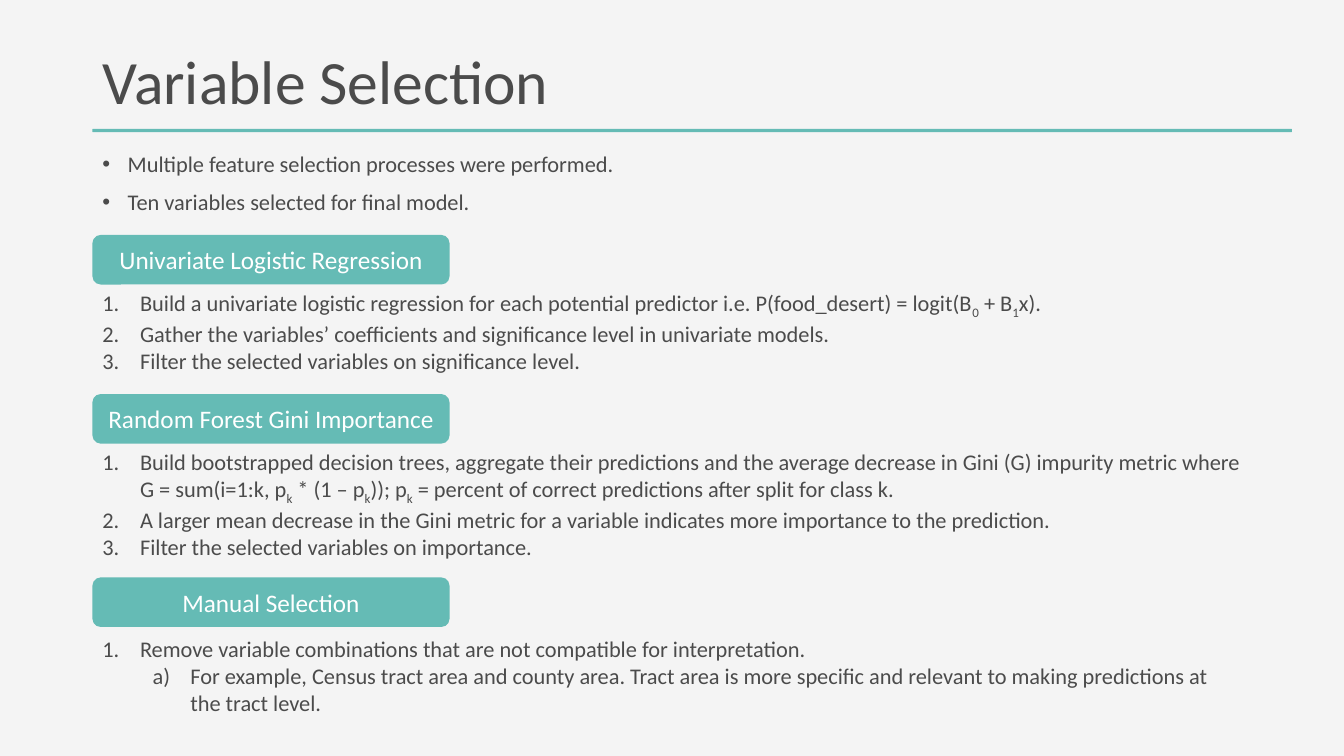
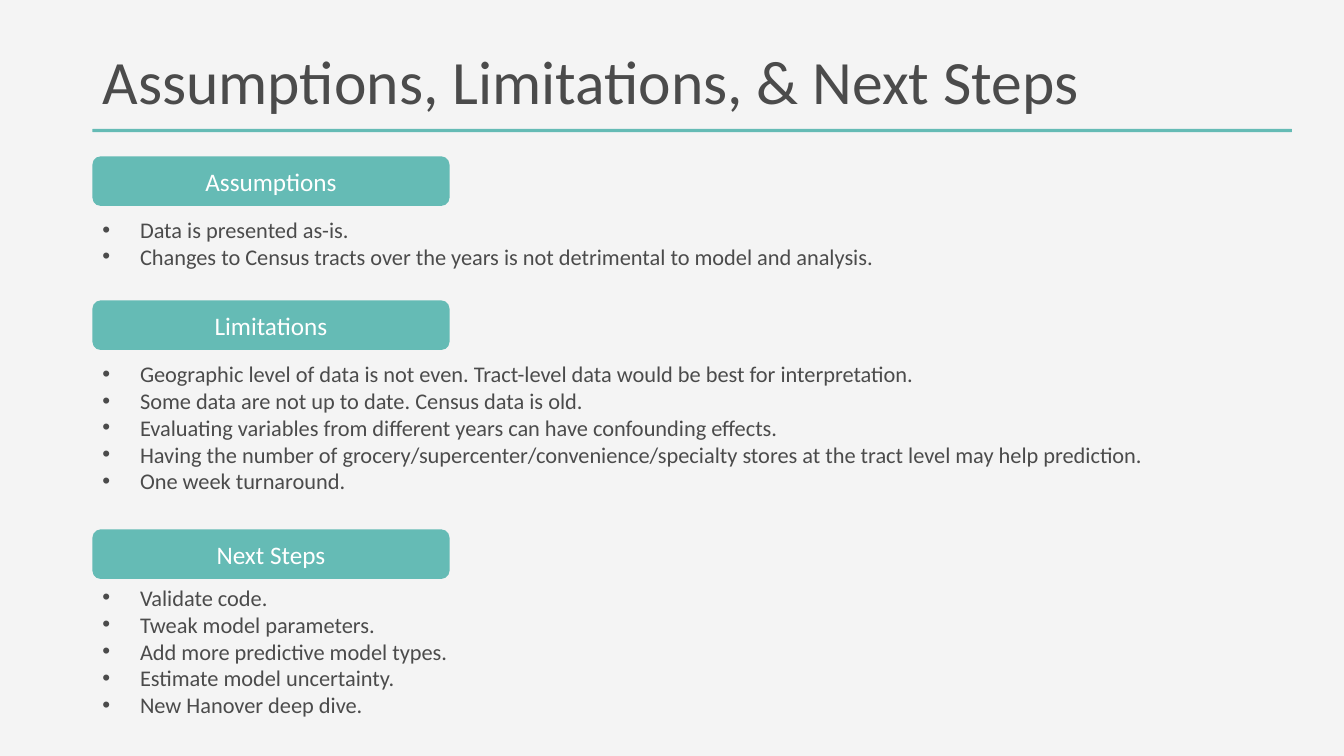
from dataclasses import dataclass

from lxml.etree import SubElement
from pptx import Presentation
from pptx.dml.color import RGBColor
from pptx.enum.shapes import MSO_SHAPE
from pptx.enum.text import MSO_ANCHOR, MSO_AUTO_SIZE, PP_ALIGN
from pptx.oxml.ns import qn
from pptx.util import Cm, Pt


@dataclass(frozen=True)
class Theme:
    font: str = "Calibri"
    back: RGBColor = RGBColor(0xF4, 0xF4, 0xF4)
    teal: RGBColor = RGBColor(0x65, 0xBB, 0xB5)
    ink: RGBColor = RGBColor(0x4B, 0x4B, 0x4B)
    white: RGBColor = RGBColor(0xFF, 0xFF, 0xFF)
    title: int = 44
    label: int = 18
    body: int = 16


@dataclass(frozen=True)
class Mark:
    """A bullet or number, with its text edge and hanging indent in cm."""
    tag: str
    attr: str
    value: str
    left: float
    hang: float


THEME = Theme()
LEFT, WIDE = 2.33, 29.21
PILL_W, PILL_H = 9, 1.25
LINE, INSET = 0.69, 0.25

INTRO = Mark("a:buChar", "char", "•", 0.64, 0.64)
DOT = Mark("a:buChar", "char", "•", 0.95, 0.95)
NUM = Mark("a:buAutoNum", "type", "arabicPeriod", 0.95, 0.95)
ALPHA = Mark("a:buAutoNum", "type", "alphaLcParenR", 2.22, 0.95)


def style(para, size, color):
    for run in para.runs:
        run.font.name = THEME.font
        run.font.size = Pt(size)
        run.font.color.rgb = color


def fill(shape, color):
    shape.shadow.inherit = False
    shape.fill.solid()
    shape.fill.fore_color.rgb = color
    shape.line.fill.background()


def add_mark(para, mark):
    props = para._p.get_or_add_pPr()
    props.set("marL", str(Cm(mark.left)))
    props.set("indent", str(-Cm(mark.hang)))
    if mark.tag == "a:buChar":
        SubElement(props, qn("a:buFont")).set("typeface", "Arial")
    SubElement(props, qn(mark.tag)).set(mark.attr, mark.value)


def add_list(shapes, top, items, rows, spacing=1.0, before=0):
    """Place (mark, text) items; text between tildes is subscript."""
    box = shapes.add_textbox(Cm(LEFT), Cm(top), Cm(WIDE), Cm(rows * LINE + INSET))
    frame = box.text_frame
    frame.word_wrap = True
    frame.auto_size = MSO_AUTO_SIZE.SHAPE_TO_FIT_TEXT
    for i, (mark, text) in enumerate(items):
        para = frame.add_paragraph() if i else frame.paragraphs[0]
        para.level = int(mark is ALPHA)
        para.line_spacing = spacing
        para.space_before = Pt(before)
        add_mark(para, mark)
        for j, part in enumerate(text.split("~")):
            run = para.add_run()
            run.text = part
            if j % 2:
                run.font._element.set("baseline", "-25000")
        style(para, THEME.body, THEME.ink)


def add_part(slide, top, label, gap, rows, items):
    """A labelled section: pill heading with its list below."""
    shapes = slide.shapes.add_group_shape().shapes
    pill = shapes.add_shape(MSO_SHAPE.ROUNDED_RECTANGLE,
                            Cm(LEFT), Cm(top), Cm(PILL_W), Cm(PILL_H))
    fill(pill, THEME.teal)
    frame = pill.text_frame
    frame.text = label
    frame.vertical_anchor = MSO_ANCHOR.MIDDLE
    para = frame.paragraphs[0]
    para.alignment = PP_ALIGN.CENTER
    style(para, THEME.label, THEME.white)
    add_list(shapes, top + PILL_H + gap, items, rows)


def add_slide(deck, title, parts):
    slide = deck.slides.add_slide(deck.slide_layouts[5])

    # Rule below the title
    rule = slide.shapes.add_shape(MSO_SHAPE.ROUNDED_RECTANGLE,
                                  Cm(LEFT), Cm(3.25), Cm(30.23), Cm(0.08))
    fill(rule, THEME.teal)

    # Title
    head = slide.shapes.title
    head.left, head.top, head.width, head.height = Cm(LEFT), Cm(1.02), Cm(WIDE), Cm(2.24)
    frame = head.text_frame
    frame.text = title
    frame.vertical_anchor = MSO_ANCHOR.MIDDLE
    para = frame.paragraphs[0]
    para.alignment = PP_ALIGN.LEFT
    para.line_spacing = 0.9
    style(para, THEME.title, THEME.ink)

    # Sections
    for part in parts:
        add_part(slide, *part)
    return slide


# Sections: top, label, gap to list, text rows, items
CHOICE = [
    (5.92, "Univariate Logistic Regression", 0, 3, [
        (NUM, "Build a univariate logistic regression for each potential predictor "
              "i.e. P(food_desert) = logit(B~0~ + B~1~x)."),
        (NUM, "Gather the variables’ coefficients and significance level in univariate models."),
        (NUM, "Filter the selected variables on significance level."),
    ]),
    (9.93, "Random Forest Gini Importance", 0, 4, [
        (NUM, "Build bootstrapped decision trees, aggregate their predictions and the average "
              "decrease in Gini (G) impurity metric where G = sum(i=1:k, p~k~ * (1 – p~k~)); "
              "p~k~ = percent of correct predictions after split for class k."),
        (NUM, "A larger mean decrease in the Gini metric for a variable indicates "
              "more importance to the prediction."),
        (NUM, "Filter the selected variables on importance."),
    ]),
    (14.55, "Manual Selection", 0.08, 3, [
        (NUM, "Remove variable combinations that are not compatible for interpretation."),
        (ALPHA, "For example, Census tract area and county area. Tract area is more specific "
                "and relevant to making predictions at the tract level."),
    ]),
]

OUTLOOK = [
    (3.94, "Assumptions", 0.13, 2, [
        (DOT, "Data is presented as-is."),
        (DOT, "Changes to Census tracts over the years is not detrimental to model and analysis."),
    ]),
    (7.57, "Limitations", 0.13, 5, [
        (DOT, "Geographic level of data is not even. Tract-level data would be best "
              "for interpretation."),
        (DOT, "Some data are not up to date. Census data is old."),
        (DOT, "Evaluating variables from different years can have confounding effects."),
        (DOT, "Having the number of grocery/supercenter/convenience/specialty stores "
              "at the tract level may help prediction."),
        (DOT, "One week turnaround."),
    ]),
    (13.34, "Next Steps", 0, 5, [
        (DOT, "Validate code."),
        (DOT, "Tweak model parameters."),
        (DOT, "Add more predictive model types."),
        (DOT, "Estimate model uncertainty."),
        (DOT, "New Hanover deep dive."),
    ]),
]


def main():
    deck = Presentation()
    deck.slide_width, deck.slide_height = Cm(33.87), Cm(19.05)
    back = deck.slide_master.background.fill
    back.solid()
    back.fore_color.rgb = THEME.back

    first = add_slide(deck, "Variable Selection", CHOICE)
    add_list(first.shapes, 3.73, [
        (INTRO, "Multiple feature selection processes were performed."),
        (INTRO, "Ten variables selected for final model."),
    ], 2.8, spacing=0.9, before=10)
    add_slide(deck, "Assumptions, Limitations, & Next Steps", OUTLOOK)
    deck.save("out.pptx")


if __name__ == "__main__":
    main()
